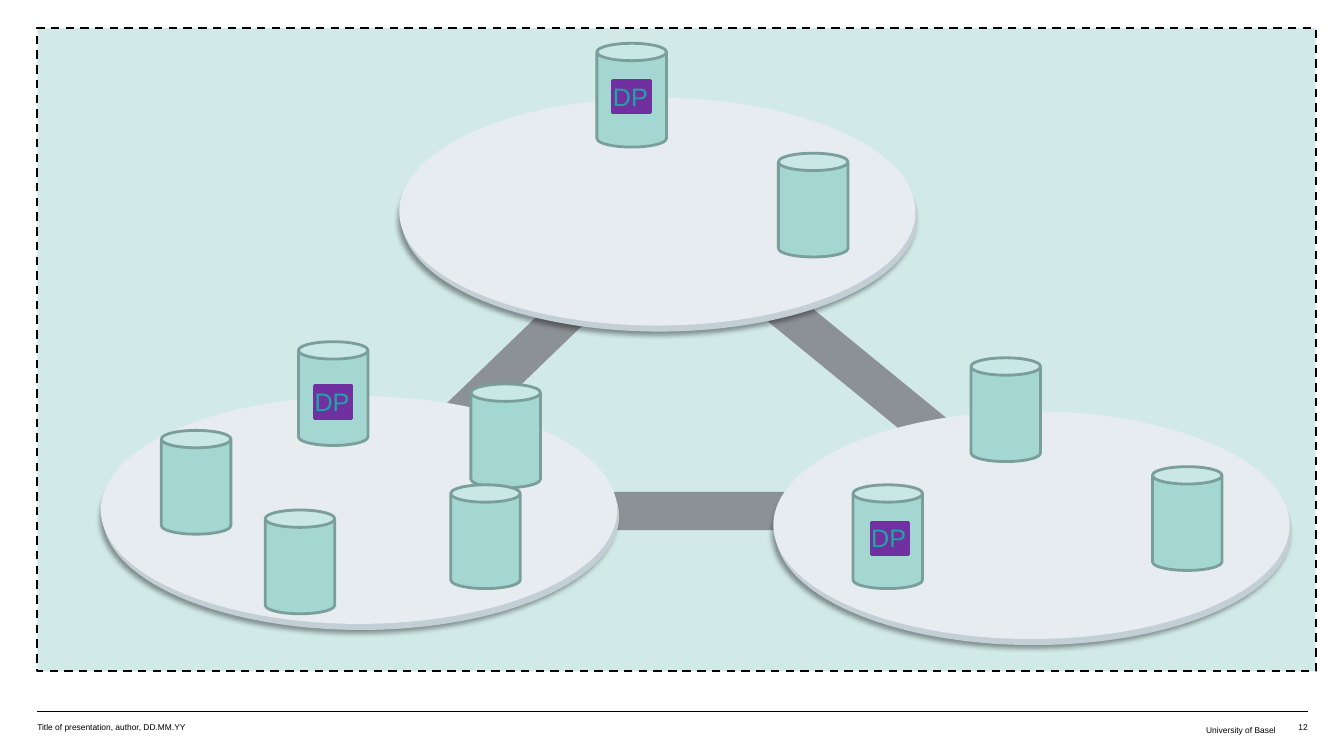
import pptx
import pptx.dml.color
import pptx.enum.dml
import pptx.enum.shapes
import pptx.enum.text
import pptx.oxml.ns
import pptx.util
from lxml import etree

Inches = pptx.util.Inches
Pt = pptx.util.Pt
SHAPE = pptx.enum.shapes.MSO_SHAPE
ALIGN = pptx.enum.text.PP_ALIGN

COLORS = {
    "black": "000000",
    "mint": "A5D7D2",
    "can_edge": "7A9F9B",
    "link": "8C9196",
    "hub": "E6ECF0",
    "hub_base": "C3CED5",
    "tag": "7030A0",
    "tag_text": "1EA5A5",
}
HUB_W, HUB_H = 5.12, 2.26
CAN_W, CAN_H = 0.69, 1.03
TAG_W, TAG_H = 0.37, 0.32
LINK_H = 0.38

# left, top, width, rotation
LINKS = [(4.46, 4.88, 4.77, 0), (6.07, 3.44, 4.77, 39.3), (2.73, 3.39, 4.82, 316)]
# hub position, then the positions of its cans
SITES = [
    ((7.67, 4.08), [(9.63, 3.55), (11.43, 4.63), (8.46, 4.81)]),
    ((3.96, 0.97), [(5.92, 0.43), (7.72, 1.52)]),
    ((1, 3.93), [(2.96, 3.39), (4.67, 3.81), (1.6, 4.27), (2.63, 5.06), (4.47, 4.81)]),
]
TAGS = [(8.64, 5.18), (3.12, 3.83), (6.08, 0.8)]


def rgb(name):
    return pptx.dml.color.RGBColor.from_string(COLORS[name])


def add_xml(parent, tag, **attrs):
    return etree.SubElement(parent, pptx.oxml.ns.qn(tag), {k: str(v) for k, v in attrs.items()})


class Deck:
    font = "Arial"

    def __init__(self, prs):
        self.s = prs.slides.add_slide(prs.slide_layouts[6])

    def shape(self, kind, left, top, width, height, fill, line=None, line_pt=0, parent=None):
        shapes = (parent or self.s).shapes
        sp = shapes.add_shape(kind, Inches(left), Inches(top), Inches(width), Inches(height))
        sp.shadow.inherit = False
        sp.fill.solid()
        sp.fill.fore_color.rgb = rgb(fill)
        if line:
            sp.line.color.rgb = rgb(line)
            sp.line.width = Pt(line_pt)
        else:
            sp.line.fill.background()
        return sp

    def label(self, sp, text, size, color, align=ALIGN.LEFT, insets=(0, 0, 0, 0)):
        tf = sp.text_frame
        tf.margin_left, tf.margin_top, tf.margin_right, tf.margin_bottom = map(Inches, insets)
        tf.word_wrap = True
        tf.vertical_anchor = pptx.enum.text.MSO_ANCHOR.TOP
        tf.text = text
        p = tf.paragraphs[0]
        p.alignment = align
        r = p.runs[0]
        r.font.name = self.font
        r.font.size = Pt(size)
        r.font.color.rgb = rgb(color)
        return p

    def footer(self, left, width, text, align=ALIGN.LEFT, insets=(0, 0.02, 0, 0)):
        sp = self.s.shapes.add_textbox(Inches(left), Inches(7.14), Inches(width), Inches(0.2))
        self.label(sp, text, 6, "black", align, insets)

    def rule(self, left, right, y):
        cx = self.s.shapes.add_connector(
            pptx.enum.shapes.MSO_CONNECTOR.STRAIGHT,
            Inches(left), Inches(y), Inches(right), Inches(y))
        cx.line.color.rgb = rgb("black")
        cx.line.width = Pt(0.25)
        add_xml(cx._element.spPr, "a:effectLst")

    def frame(self, left, top, width, height):
        """Half transparent panel with a dashed border."""
        sp = self.shape(SHAPE.RECTANGLE, left, top, width, height, "mint", "black", 1.5)
        sp.line.dash_style = pptx.enum.dml.MSO_LINE.DASH
        color = sp._element.xpath("./p:spPr/a:solidFill/a:srgbClr")[0]
        add_xml(color, "a:alpha", val=50000)

    def link(self, left, top, width, rotation):
        sp = self.shape(SHAPE.CHEVRON, left, top, width, LINK_H, "link")
        sp.rotation = rotation

    def hub(self, left, top):
        """Light disc on a darker base that casts a shadow."""
        group = self.s.shapes.add_group_shape()
        base = self.shape(SHAPE.OVAL, left + 0.02, top + 0.06, HUB_W, HUB_H,
                          "hub_base", parent=group)
        effects = base._element.xpath("./p:spPr/a:effectLst")[0]
        shadow = add_xml(effects, "a:outerShdw", blurRad=Pt(4), dist=Pt(3),
                         dir=135 * 60000, algn="ctr", rotWithShape=0)
        color = add_xml(shadow, "a:srgbClr", val=COLORS["black"])
        add_xml(color, "a:alpha", val=40000)
        self.shape(SHAPE.OVAL, left, top, HUB_W, HUB_H, "hub", parent=group)

    def can(self, left, top):
        self.shape(SHAPE.CAN, left, top, CAN_W, CAN_H, "mint", "can_edge", 2)

    def tag(self, left, top):
        sp = self.shape(SHAPE.RECTANGLE, left, top, TAG_W, TAG_H, "tag", "tag", 2.25)
        p = self.label(sp, "DP", 18, "tag_text")
        p.line_spacing = Pt(22)


def main():
    prs = pptx.Presentation()
    prs.slide_width, prs.slide_height = Inches(13.33), Inches(7.5)
    deck = Deck(prs)

    deck.rule(0.37, 12.97, 7.06)
    deck.frame(0.37, 0.28, 12.68, 6.38)
    for link in LINKS:
        deck.link(*link)

    deck.footer(0.37, 3.15, "Title of presentation, author, DD.MM.YY")
    deck.footer(9.97, 2.78, "University of Basel", ALIGN.RIGHT, (0.1, 0.05, 0.1, 0.05))
    deck.footer(12.76, 0.21, "12", ALIGN.RIGHT)

    for hub, cans in SITES:
        deck.hub(*hub)
        for can in cans:
            deck.can(*can)
    for tag in TAGS:
        deck.tag(*tag)

    prs.save("out.pptx")


if __name__ == "__main__":
    main()
